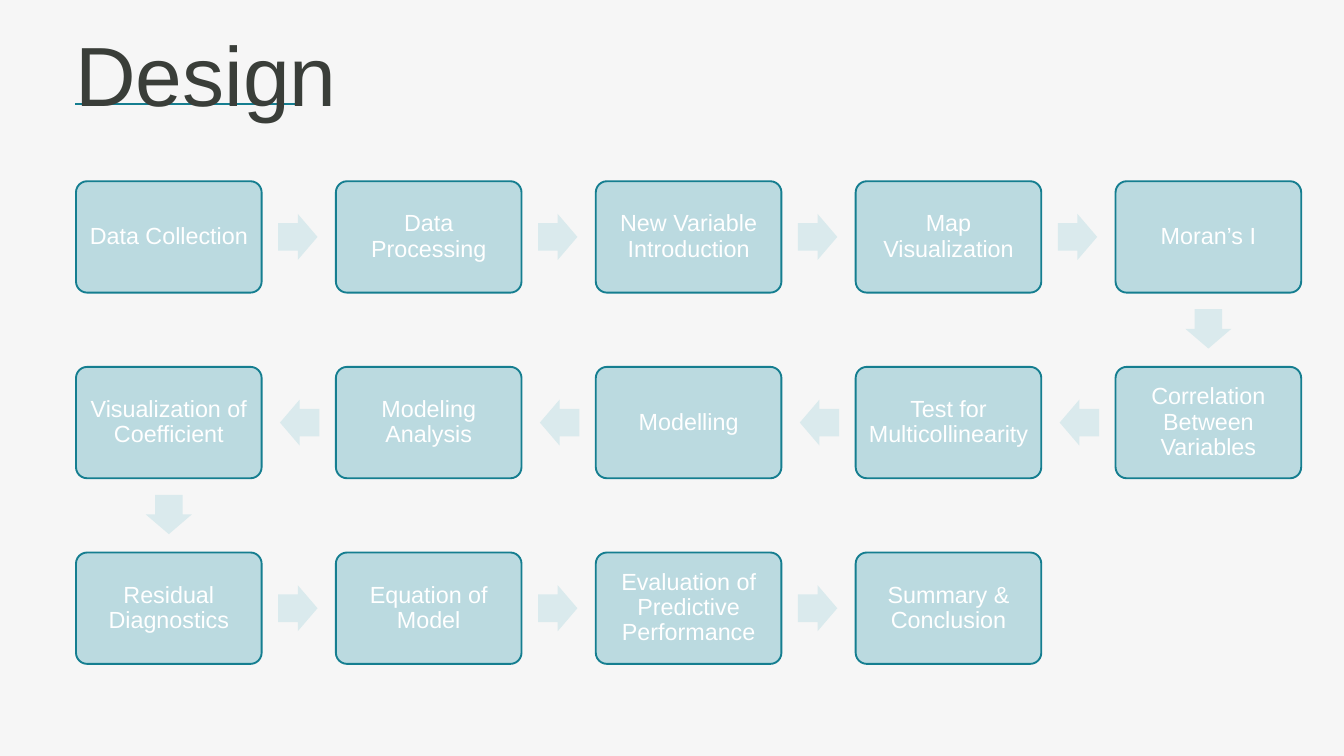
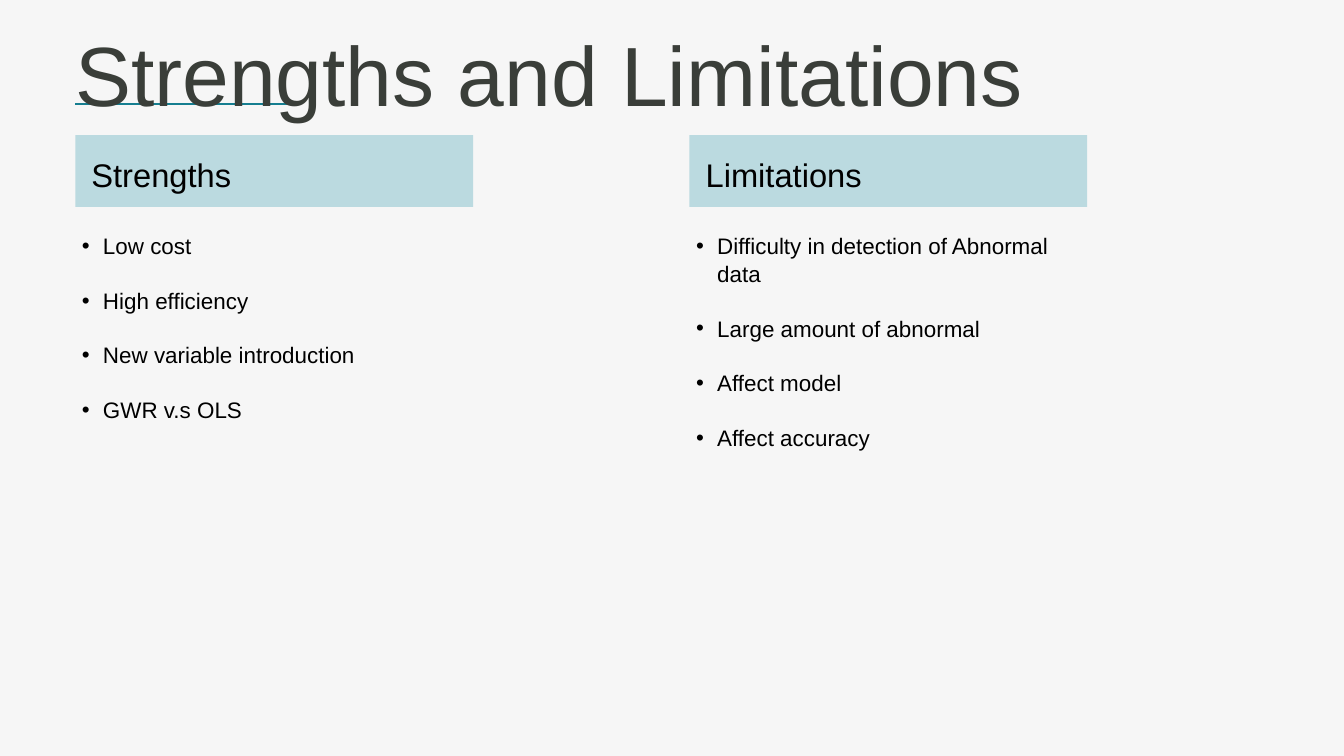
import math

import pptx
import pptx.dml.color
import pptx.enum.shapes
import pptx.enum.text
import pptx.oxml
import pptx.oxml.ns
import pptx.util

Pt = pptx.util.Pt
SHAPE = pptx.enum.shapes.MSO_SHAPE
ALIGN = pptx.enum.text.PP_ALIGN
ANCHOR = pptx.enum.text.MSO_ANCHOR

# Content
STEP_ROWS = [
    ["Data Collection", "Data Processing", "New Variable Introduction",
     "Map Visualization", "Moran’s I"],
    ["Correlation Between Variables", "Test for Multicollinearity", "Modelling",
     "Modeling Analysis", "Visualization of Coefficient"],
    ["Residual Diagnostics", "Equation of Model",
     "Evaluation of Predictive Performance", "Summary & Conclusion"],
]
# heading, left edge, list width, points
COLUMNS = [
    ("Strengths", 80.64, 426.2,
     ["Low cost", "High efficiency", "New variable introduction", "GWR v.s OLS"]),
    ("Limitations", 738.72, 440,
     ["Difficulty in detection of Abnormal data", "Large amount of abnormal",
      "Affect model", "Affect accuracy"]),
]

# Shared style
COLORS = {"background": "F6F6F6", "accent": "157E90", "panel": "BBDAE0",
          "arrow": "DAEAED", "title": "3A3E39", "text": "000000", "light": "FFFFFF"}
FONT = "Arial"
LEFT = 80.64

# Flow grid
BOX_W = 198.9
BOX_H = BOX_W * 0.6
COL_STEP = BOX_W * 1.4
ROW_STEP = BOX_W
GRID_LEFT, GRID_TOP = 81.4, 194.2
ARROW_W, ARROW_H = 42.2, 49.3
ARROW_SHIFT = 1  # arrows sit slightly nearer the step they leave
COLS = len(STEP_ROWS[0])


def rgb(name):
    return pptx.dml.color.RGBColor.from_string(COLORS[name])


def apply(obj, values):
    for name, value in values.items():
        setattr(obj, name, value)


def place(sp, left, top, width, height):
    apply(sp, {"left": Pt(left), "top": Pt(top), "width": Pt(width), "height": Pt(height)})


def format_frame(tf, anchor, margins):
    """Set anchor and the left, top, right and bottom margins."""
    apply(tf, {"word_wrap": True, "auto_size": pptx.enum.text.MSO_AUTO_SIZE.NONE,
               "vertical_anchor": anchor})
    for side, margin in zip(("left", "top", "right", "bottom"), margins):
        setattr(tf, f"margin_{side}", Pt(margin))


def format_paragraph(p, size, color, **values):
    apply(p, {"space_before": Pt(0), **values})
    apply(p.font, {"name": FONT, "size": Pt(size), "bold": False})
    p.font.color.rgb = rgb(color)


def add_filled(slide, kind, box, fill, line=None):
    sp = slide.shapes.add_shape(kind, *map(Pt, box))
    sp.shadow.inherit = False
    sp.fill.solid()
    sp.fill.fore_color.rgb = rgb(fill)
    if line:
        sp.line.color.rgb = rgb(line)
        sp.line.width = Pt(2)
    else:
        sp.line.fill.background()
    return sp


def add_slide(prs, layout, title):
    """Add a slide with the shared title and the rule behind it."""
    slide = prs.slides.add_slide(prs.slide_layouts[layout])
    sp = slide.shapes.title
    place(sp, LEFT, 2.2, 1278, 131)
    tf = sp.text_frame
    tf.text = title
    format_frame(tf, ANCHOR.TOP, (0, 0, 0, 0))
    format_paragraph(tf.paragraphs[0], 90, "title", alignment=ALIGN.LEFT, line_spacing=1.2)

    rule = slide.shapes.add_connector(pptx.enum.shapes.MSO_CONNECTOR.STRAIGHT,
                                      Pt(LEFT), Pt(111.6), Pt(319), Pt(111.6))
    rule.line.color.rgb = rgb("accent")
    rule.line.width = Pt(1.5)
    pr = rule._element.spPr
    pr.append(pptx.oxml.parse_xml(f"<a:effectLst {pptx.oxml.ns.nsdecls('a')}/>"))
    sp._element.addprevious(rule._element)
    return slide


def step_centers():
    """Return (text, x, y) for each step, with every second row running leftwards."""
    steps = []
    for row, texts in enumerate(STEP_ROWS):
        for i, text in enumerate(texts):
            col = COLS - 1 - i if row % 2 else i
            steps.append((text, GRID_LEFT + col * COL_STEP + BOX_W / 2,
                          GRID_TOP + row * ROW_STEP + BOX_H / 2))
    return steps


def add_step(slide, text, x, y):
    sp = add_filled(slide, SHAPE.ROUNDED_RECTANGLE,
                    (x - BOX_W / 2, y - BOX_H / 2, BOX_W, BOX_H), "panel", "accent")
    sp.adjustments[0] = 0.1
    tf = sp.text_frame
    tf.text = text
    format_frame(tf, ANCHOR.MIDDLE, (7.2, 7.2, 7.2, 7.2))
    format_paragraph(tf.paragraphs[0], 25, "light", alignment=ALIGN.CENTER, line_spacing=0.9)


def add_arrow(slide, start, end):
    angle = math.atan2(end[1] - start[1], end[0] - start[0])
    x = (start[0] + end[0]) / 2 - ARROW_SHIFT * math.cos(angle)
    y = (start[1] + end[1]) / 2 - ARROW_SHIFT * math.sin(angle)
    sp = add_filled(slide, SHAPE.RIGHT_ARROW,
                    (x - ARROW_W / 2, y - ARROW_H / 2, ARROW_W, ARROW_H), "arrow")
    sp.adjustments[0] = 0.6
    sp.adjustments[1] = 0.5
    sp.rotation = round(math.degrees(angle))


def add_bullet(p):
    pr = p._p.get_or_add_pPr()
    pr.set("marL", str(Pt(22.5)))
    pr.set("indent", str(-Pt(22.5)))
    ns = pptx.oxml.ns.nsdecls("a")
    for xml in (f'<a:buClr {ns}><a:srgbClr val="{COLORS["text"]}"/></a:buClr>',
                f'<a:buFont {ns} typeface="{FONT}"/>',
                f'<a:buChar {ns} char="•"/>'):
        pr.append(pptx.oxml.parse_xml(xml))


def add_column(slide, body, heading, left, width, points):
    bar = add_filled(slide, SHAPE.RECTANGLE, (left, 144.7, 426.2, 77), "panel")
    tf = bar.text_frame
    tf.text = heading
    format_frame(tf, ANCHOR.MIDDLE, (17.3, 0, 0, 0))
    format_paragraph(tf.paragraphs[0], 35, "text", alignment=ALIGN.LEFT, line_spacing=1.2)

    place(body, left, 244, width, 240)
    tf = body.text_frame
    tf.text = "\n".join(points)
    format_frame(tf, ANCHOR.TOP, (7.2, 3.6, 7.2, 3.6))
    for p in tf.paragraphs:
        add_bullet(p)
        format_paragraph(p, 24, "text", line_spacing=1.04, space_after=Pt(28.7))


def build_design(prs):
    slide = add_slide(prs, 5, "Design")
    steps = step_centers()
    for i, (text, x, y) in enumerate(steps):
        if i:
            add_arrow(slide, steps[i - 1][1:], (x, y))
        add_step(slide, text, x, y)


def build_strengths(prs):
    slide = add_slide(prs, 3, "Strengths and Limitations")
    for idx, column in enumerate(COLUMNS, start=1):
        add_column(slide, slide.placeholders[idx], *column)


def main():
    prs = pptx.Presentation()
    apply(prs, {"slide_width": Pt(1440), "slide_height": Pt(810)})
    fill = prs.slide_master.background.fill
    fill.solid()
    fill.fore_color.rgb = rgb("background")
    build_design(prs)
    build_strengths(prs)
    prs.save("out.pptx")


if __name__ == "__main__":
    main()
